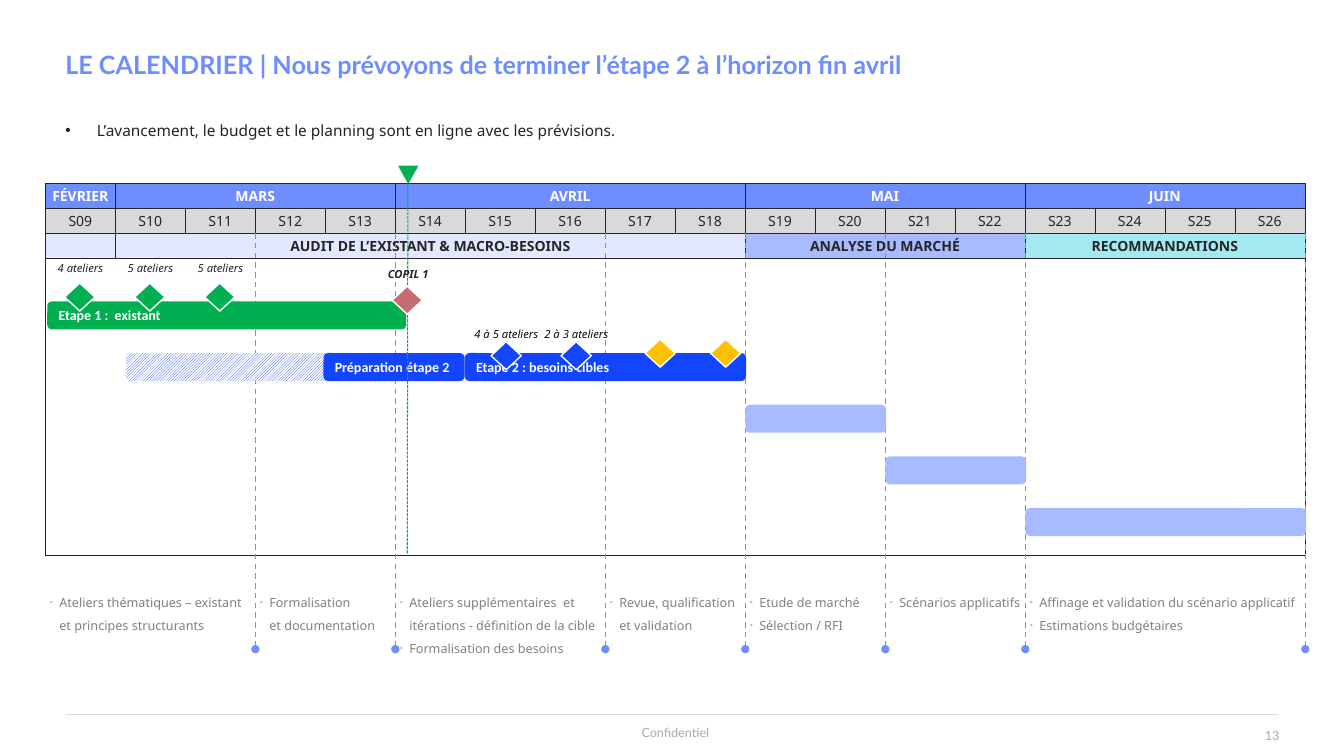
import copy
import lxml.etree
import pptx
import pptx.dml.color
import pptx.enum.dml
import pptx.enum.shapes
import pptx.enum.text
import pptx.oxml.ns
import pptx.util

Pt = pptx.util.Pt
Kind = pptx.enum.shapes.MSO_SHAPE
Dash = pptx.enum.dml.MSO_LINE
Align = pptx.enum.text.PP_ALIGN
Mid = pptx.enum.text.MSO_ANCHOR.MIDDLE
Top = pptx.enum.text.MSO_ANCHOR.TOP
qn = pptx.oxml.ns.qn

BLUE, DEEP, PALE = "6E8DFF", "1345FF", "A8BBFF"
GREEN, GOLD, ROSE = "00B050", "FFC000", "C46D70"
DARK, GREY, WHITE = "252525", "808080", "FFFFFF"
LEFT, WEEK = 32.4, 50
HEAD, BODY = 17.9, 212.4
BAR = 20


def hue(code):
    return pptx.dml.color.RGBColor.from_string(code)


def col(week):
    """Left edge of a week, counted from S09 = 0."""
    return LEFT + WEEK * week


def sub(node, tag, **attrs):
    return lxml.etree.SubElement(node, qn(tag), **attrs)


def bullet(para, indent, tint, scale):
    props = para._p.get_or_add_pPr()
    props.set("marL", str(Pt(indent)))
    props.set("indent", str(-Pt(indent)))
    sub(sub(props, "a:buClr"), "a:srgbClr", val=tint)
    sub(props, "a:buSzPct", val=str(scale * 1000))
    sub(props, "a:buFont", typeface="Arial")
    sub(props, "a:buChar", char="•")


def write(frame, *lines, face="Noto Sans", size=10, color=DARK, bold=False,
          slant=False, align=Align.LEFT, space=None, mark=None):
    """Fill a text frame with one paragraph per line."""
    for i, line in enumerate(lines):
        para = frame.add_paragraph() if i else frame.paragraphs[0]
        para.text = line
        if mark:
            bullet(para, *mark)
        para.alignment = align
        if space:
            para.line_spacing = space
        for run in para.runs:
            font = run.font
            font.name, font.size = face, Pt(size)
            font.bold, font.italic = bold, slant
            font.color.rgb = hue(color)
        for gap in para._p.findall(qn("a:br")):
            gap.append(copy.deepcopy(para.runs[0]._r.rPr))


def label(slide, x, y, w, h, *lines, anchor=Top, side=7.2, **form):
    frame = slide.shapes.add_textbox(Pt(x), Pt(y), Pt(w), Pt(h)).text_frame
    frame.word_wrap = True
    frame.vertical_anchor = anchor
    frame.margin_left = frame.margin_right = Pt(side)
    write(frame, *lines, **form)


def shape(slide, kind, x, y, w, h, fill, edge=None):
    item = slide.shapes.add_shape(kind, Pt(x), Pt(y), Pt(w), Pt(h))
    item.shadow.inherit = False
    item.fill.solid()
    item.fill.fore_color.rgb = hue(fill)
    if edge:
        item.line.color.rgb = hue(edge)
        item.line.width = Pt(1)
    else:
        item.line.fill.background()
    return item


def bar(slide, x, row, w, fill, text=None):
    y = 215.3 + 36.9 * row
    item = shape(slide, Kind.ROUNDED_RECTANGLE, x, y, w, BAR, fill)
    if text:
        frame = item.text_frame
        frame.vertical_anchor = Mid
        write(frame, text, face="Calibri", color=WHITE, bold=True)
    return item


def gem(slide, x, y, fill):
    shape(slide, Kind.FLOWCHART_DECISION, x, y, 21.6, BAR, fill, WHITE)


def rule(slide, x1, y1, x2, y2, color, width, dash=None, dot=False):
    link = slide.shapes.add_connector(
        pptx.enum.shapes.MSO_CONNECTOR.STRAIGHT, Pt(x1), Pt(y1), Pt(x2), Pt(y2))
    link.line.color.rgb = hue(color)
    link.line.width = Pt(width)
    if dash:
        link.line.dash_style = dash
    if dot:
        sub(link.line._get_or_add_ln(), "a:tailEnd", type="oval")
    sub(link._element.spPr, "a:effectLst")


def style(cell, fill):
    """Margins, thin borders and fill of one cell."""
    cell.margin_left = cell.margin_right = Pt(2.8)
    cell.margin_top = cell.margin_bottom = Pt(1.5)
    cell.vertical_anchor = Mid
    props = cell._tc.get_or_add_tcPr()
    for side in ("a:lnL", "a:lnR", "a:lnT", "a:lnB"):
        edge = sub(props, side, w=str(Pt(0.25)))
        sub(sub(edge, "a:solidFill"), "a:srgbClr", val=DARK)
    cell.fill.solid()
    cell.fill.fore_color.rgb = hue(fill)


def grid(slide):
    weeks = [(f"S{n:02}", 1, "D9D9D9") for n in range(9, 27)]
    rows = [
        [("FÉVRIER", 1, BLUE), ("MARS", 4, BLUE), ("AVRIL", 5, BLUE),
         ("MAI", 4, BLUE), ("JUIN", 4, BLUE)],
        weeks,
        [("", 1, "E2E8FF"), ("AUDIT DE L’EXISTANT & MACRO-BESOINS", 9, "E2E8FF"),
         ("ANALYSE DU MARCHÉ", 4, PALE), ("RECOMMANDATIONS", 4, "A4E9F1")],
        [("", 18, WHITE)],
    ]
    table = slide.shapes.add_table(
        4, 18, Pt(LEFT), Pt(130.8), Pt(18 * WEEK), Pt(3 * HEAD + BODY)).table
    table.first_row = table.horz_banding = False
    for column in table.columns:
        column.width = Pt(WEEK)
    for r, row in enumerate(rows):
        table.rows[r].height = Pt(BODY if r == 3 else HEAD)
        start = 0
        for text, span, fill in row:
            for c in range(start, start + span):
                cell = table.cell(r, c)
                style(cell, fill)
                if c > start or not text:
                    sub(cell.text_frame.paragraphs[0]._p, "a:endParaRPr", sz="1000")
            first = table.cell(r, start)
            if span > 1:
                first.merge(table.cell(r, start + span - 1))
            if text:
                write(first.text_frame, text, align=Align.CENTER, bold=r != 1,
                      color=WHITE if r == 0 else DARK)
            start += span


def main():
    deck = pptx.Presentation()
    deck.slide_width, deck.slide_height = Pt(960), Pt(540)
    slide = deck.slides.add_slide(deck.slide_layouts[6])

    # Footer
    rule(slide, 46.8, 510.5, 913, 510.5, "D9D9D9", 1)
    foot = dict(face="Lato", size=9, color="ABA8BA", anchor=Mid)
    label(slide, 888.5, 516.2, 32.4, 18, "13", align=Align.RIGHT, **foot)
    label(slide, 320.4, 514.8, 324, 17.3, "Confidentiel", align=Align.CENTER, **foot)

    # Title and message
    label(slide, 39.6, 33.8, 640, 27.4,
          "LE CALENDRIER | Nous prévoyons de terminer l’étape 2 à l’horizon fin avril",
          face="Lato", size=18, color=BLUE, bold=True, anchor=Mid, space=0.9)
    label(slide, 39.6, 82.8, 865, 21,
          "L’avancement, le budget et le planning sont en ligne avec les prévisions.",
          size=11, color="23222A", mark=(22.5, "23222A", 100))

    grid(slide)

    # Notes under each phase, closed by a dashed line
    notes = [
        (0, 3, ["Ateliers thématiques – existant et principes structurants"]),
        (3, 5, ["Formalisation\net documentation"]),
        (5, 8, ["Ateliers supplémentaires  et itérations - définition de la cible",
                "Formalisation des besoins"]),
        (8, 10, ["Revue, qualification et validation"]),
        (10, 12, ["Etude de marché", "Sélection / RFI"]),
        (12, 14, ["Scénarios applicatifs"]),
        (14, 18, ["Affinage et validation du scénario applicatif",
                  "Estimations budgétaires"]),
    ]
    for start, end, lines in notes:
        label(slide, col(start) + 0.4, 416.2, WEEK * (end - start), 38, *lines,
              side=2.8, size=9, color=GREY, space=1.5, mark=(6.8, PALE, 70))
        rule(slide, col(end), 166.5, col(end), 463.7, BLUE, 1, Dash.DASH, True)

    # Task bars
    bar(slide, 33.8, 0, 256.3, GREEN, "Etape 1 :  existant")
    for start, row, span in ((10, 2, 2), (12, 3, 2), (14, 4, 4)):
        bar(slide, col(start), row, WEEK * span + 0.5, PALE)
    hatch = bar(slide, 90, 1, 147.6, WHITE).fill
    hatch.patterned()
    hatch.pattern = pptx.enum.dml.MSO_PATTERN.DARK_UPWARD_DIAGONAL
    hatch.fore_color.rgb, hatch.back_color.rgb = hue(DEEP), hue(WHITE)
    bar(slide, 332, 1, 200.9, DEEP, "Etape 2 : besoins cibles")
    bar(slide, 231.1, 1, 100.8, DEEP, "Préparation étape 2")

    # Today marker
    rule(slide, 290.9, 395.3, 291.4, 121, GREEN, 0.75, Dash.SQUARE_DOT)
    today = shape(slide, Kind.ISOSCELES_TRIANGLE, 285.1, 118.8, 13, 11.5, GREEN, GREEN)
    today.rotation = 180

    # Milestones
    tag = dict(size=8, slant=True, align=Align.CENTER)
    for i, text in enumerate(("4 ateliers", "5 ateliers", "5 ateliers")):
        gem(slide, col(i) + 13.8, 202.2, GREEN)
        label(slide, col(i) - 3, 182.9, 56.2, 17.3, text, **tag)
    gem(slide, 280.1, 204.5, ROSE)
    label(slide, 263.5, 187.2, 56.2, 17.3, "COPIL 1", bold=True, **tag)
    for i, text in enumerate(("4 à 5 ateliers", "2 à 3 ateliers"), 6):
        label(slide, col(i) - 3.4, 230.4, 65.5, 17.3, text, color="060B12", **tag)
        gem(slide, col(i) + 18.4, 244.1, DEEP)
    for x in (460.8, 507.6):
        gem(slide, x, 242.3, GOLD)

    deck.save("out.pptx")


if __name__ == "__main__":
    main()
